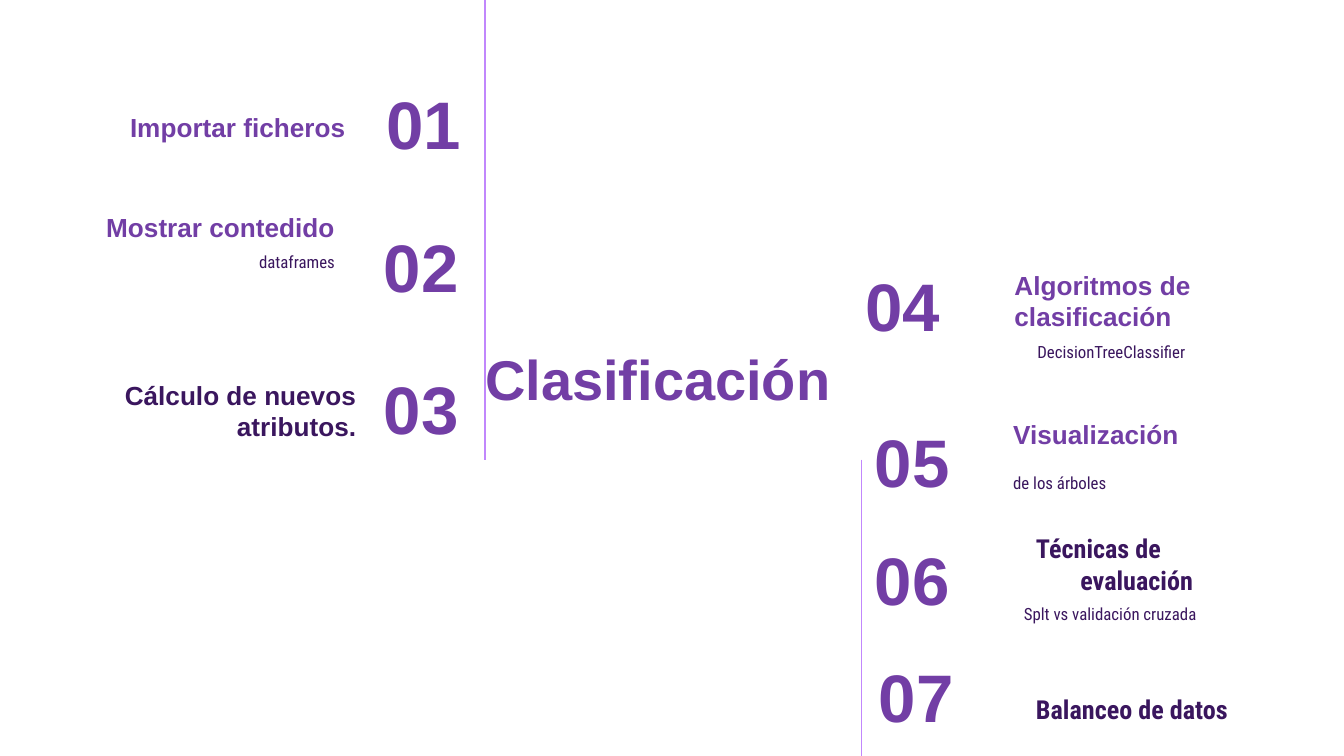
from pptx import Presentation
from pptx.dml.color import RGBColor
from pptx.enum import shapes, text
from pptx.oxml.ns import qn
from pptx.util import Inches, Pt
from lxml import etree

PURPLE = RGBColor(0x72, 0x3E, 0xA5)
DARK = RGBColor(0x3A, 0x16, 0x5E)
LILAC = RGBColor(0xC1, 0x87, 0xFC)
SANS = "Arial"
NARROW = "Roboto Condensed"
LEFT, MID, RIGHT = text.PP_ALIGN.LEFT, text.PP_ALIGN.CENTER, text.PP_ALIGN.RIGHT
TOP, CENTER, BOTTOM = (text.MSO_ANCHOR.TOP, text.MSO_ANCHOR.MIDDLE,
                       text.MSO_ANCHOR.BOTTOM)
HIGH = 0.63

NUMBERS = [
    ("01", 2.32, 0.6, RIGHT), ("02", 2.3, 1.66, RIGHT), ("03", 2.3, 2.72, RIGHT),
    ("04", 6.34, 1.95, LEFT), ("05", 6.41, 3.11, LEFT),
    ("06", 6.41, 3.99, LEFT), ("07", 6.44, 4.86, LEFT),
]
HEADS = [
    ("Importar ficheros", 0.51, 0.53, RIGHT, SANS, PURPLE, False),
    ("Mostrar contedido", 0.43, 1.28, RIGHT, SANS, PURPLE, False),
    ("Cálculo de nuevos atributos.", 0.59, 2.76, RIGHT, SANS, DARK, True),
    ("Algoritmos de clasificación", 7.45, 1.94, LEFT, SANS, PURPLE, False),
    ("Visualización", 7.44, 2.82, LEFT, SANS, PURPLE, False),
    ("Técnicas de evaluación", 7.44, 3.9, LEFT, NARROW, DARK, True),
    ("Balanceo de datos", 7.44, 4.86, LEFT, NARROW, DARK, True),
]
NOTES = [
    ("dataframes", 0.76, 1.77, RIGHT, False),
    ("DecisionTreeClassifier", 7.45, 2.44, LEFT, True),
    ("de los árboles", 7.44, 3.42, LEFT, False),
    ("Splt vs validación cruzada", 7.52, 4.39, LEFT, False),
]


def style(shape, words, size, font, color, bold, align, anchor, hang=False):
    frame = shape.text_frame
    frame.text = words
    frame.word_wrap = True
    frame.auto_size = text.MSO_AUTO_SIZE.NONE
    frame.vertical_anchor = anchor
    frame.margin_left = frame.margin_right = Inches(0.1)
    frame.margin_top = frame.margin_bottom = Inches(0.1)
    para = frame.paragraphs[0]
    para.alignment = align
    para.line_spacing = 1.0
    if hang:
        props = para._p.get_or_add_pPr()
        props.set("marL", str(Inches(0.5)))
        props.set("indent", str(Inches(-0.33)))
    face = para.runs[0].font
    face.name, face.size, face.bold = font, Pt(size), bold
    face.color.rgb = color


def add_box(slide, x, y, wide):
    return slide.shapes.add_textbox(Inches(x), Inches(y), Inches(wide), Inches(HIGH))


def add_title(slide, words):
    title = slide.shapes.title
    title.left, title.top = Inches(3.5), Inches(2.3)
    title.width, title.height = Inches(2.79), Inches(1.03)
    style(title, words, 30, SANS, PURPLE, True, MID, CENTER)


def add_number(slide, words, x, y, align):
    wide = 1.21 if align == RIGHT else 1.17
    style(add_box(slide, x, y, wide), words, 36, SANS, PURPLE, True, align, CENTER)


def add_head(slide, words, x, y, align, font, color, hang):
    style(add_box(slide, x, y, 2.16), words, 14, font, color, True, align, BOTTOM, hang)


def add_note(slide, words, x, y, align, hang):
    style(add_box(slide, x, y, 1.83), words, 9, NARROW, DARK, False, align, TOP, hang)


def add_rule(slide, x, top, end):
    rule = slide.shapes.add_connector(
        shapes.MSO_CONNECTOR.STRAIGHT, Inches(x), Inches(top), Inches(x), Inches(end))
    rule.line.color.rgb = LILAC
    rule.line.width = Pt(0.75)
    etree.SubElement(rule._element.spPr, qn("a:effectLst"))


def main():
    deck = Presentation()
    deck.slide_width = Inches(10)
    deck.slide_height = deck.slide_width * 9 // 16
    slide = deck.slides.add_slide(deck.slide_layouts[5])
    add_title(slide, "Clasificación")
    add_rule(slide, 3.61, 0, 3.42)
    add_rule(slide, 6.41, 3.42, 5.64)
    for row in NUMBERS:
        add_number(slide, *row)
    for row in HEADS:
        add_head(slide, *row)
    for row in NOTES:
        add_note(slide, *row)
    deck.save("out.pptx")


if __name__ == "__main__":
    main()
